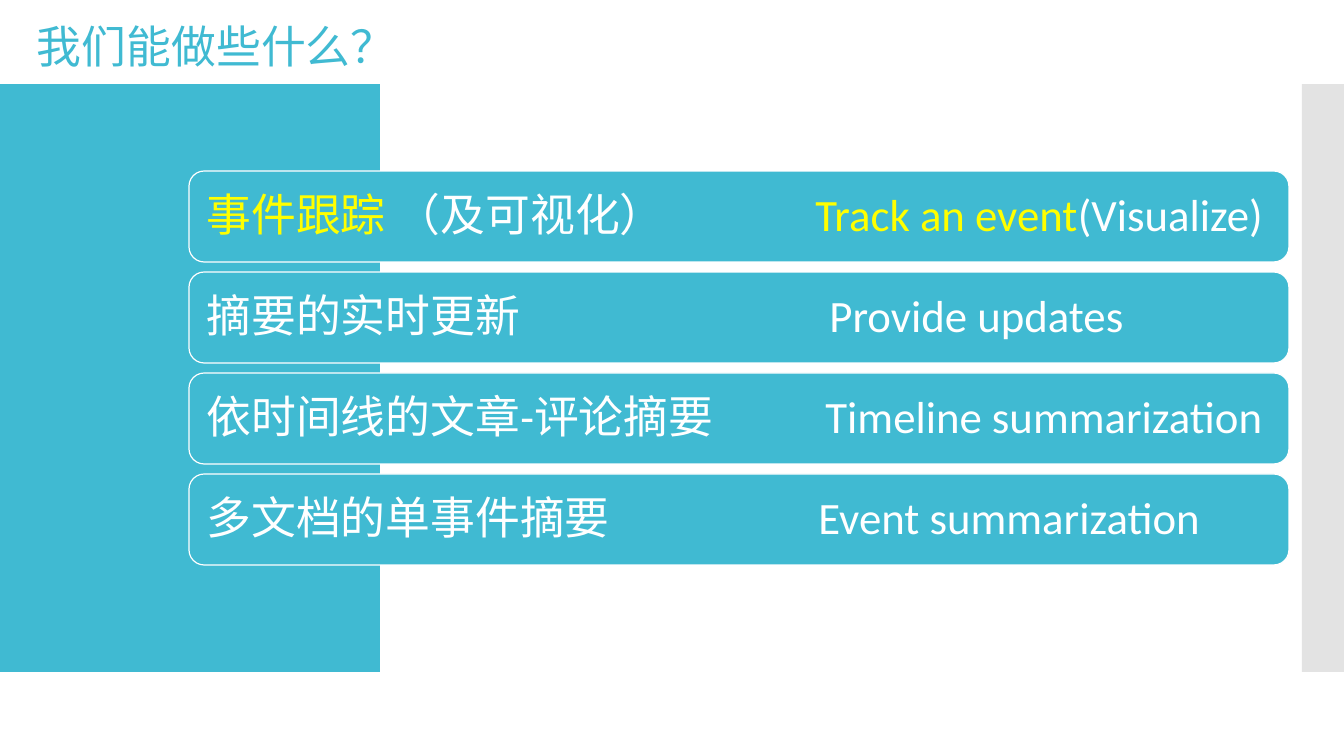
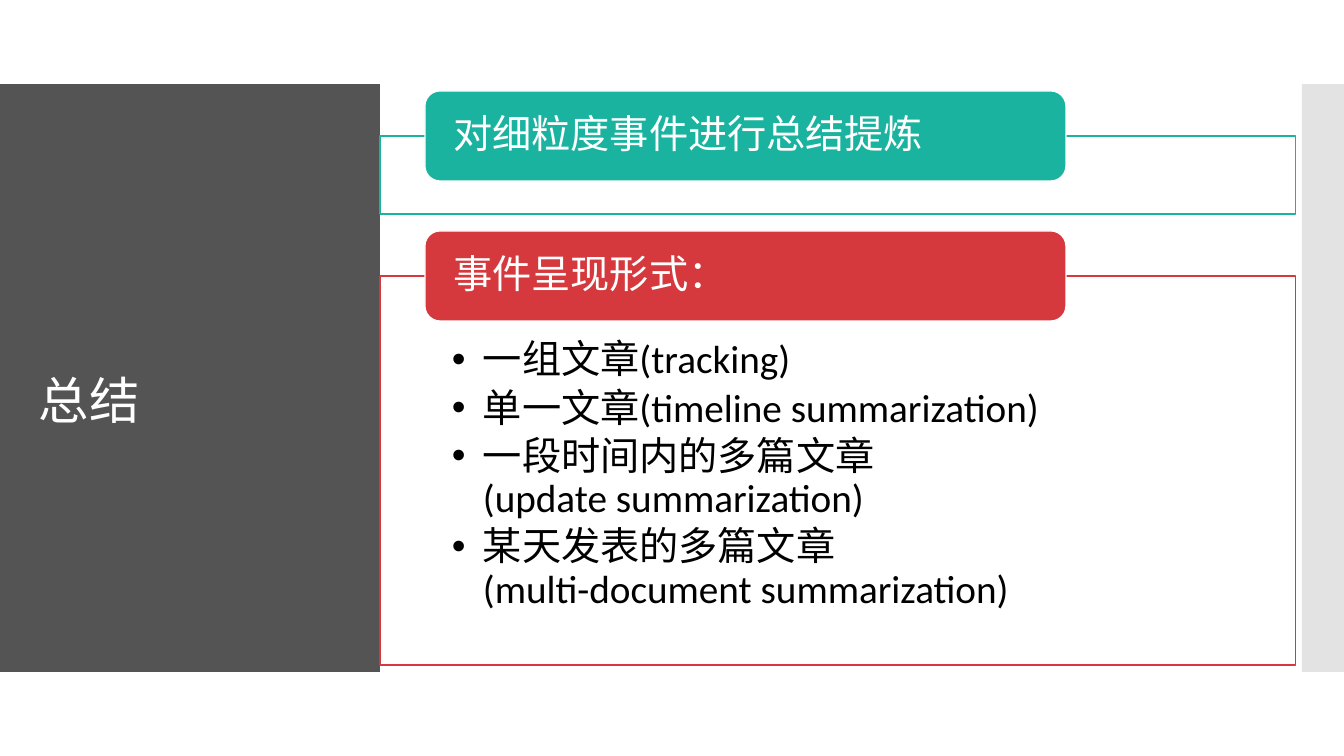
from lxml import etree
from pptx import Presentation
from pptx.dml.color import RGBColor
from pptx.enum.shapes import MSO_SHAPE
from pptx.enum.text import MSO_ANCHOR, PP_ALIGN
from pptx.oxml.ns import qn
from pptx.util import Emu, Pt

RECT, ROUNDED = MSO_SHAPE.RECTANGLE, MSO_SHAPE.ROUNDED_RECTANGLE
MIDDLE, TOP = MSO_ANCHOR.MIDDLE, MSO_ANCHOR.TOP
LEFT = PP_ALIGN.LEFT

SKY = RGBColor(0x40, 0xBA, 0xD2)
TEAL = RGBColor(0x1A, 0xB3, 0x9F)
RED = RGBColor(0xD5, 0x39, 0x3D)
DARK = RGBColor(0x54, 0x54, 0x54)
PALE = RGBColor(0xE3, 0xE3, 0xE3)
YELLOW = RGBColor(0xFF, 0xFF, 0x00)
WHITE = RGBColor(0xFF, 0xFF, 0xFF)
BLACK = RGBColor(0x00, 0x00, 0x00)

FONT = "Calibri"
PAGE_WIDTH, PAGE_HEIGHT = 1344, 756
BAND_TOP, BAND_HEIGHT = 84, 588
SIDE_WIDTH, EDGE_WIDTH = 380, 42

TASK_TITLE = "我们能做些什么？"
# Chinese spans, English spans, tab stop of the English part
TASKS = [
    ([("事件跟踪 ", YELLOW), ("（及可视化）", WHITE)],
     [("Track an event", YELLOW), ("(Visualize)", WHITE)], 609),
    ([("摘要的实时更新", WHITE)], [("Provide updates", WHITE)], 623),
    ([("依时间线的文章-评论摘要", WHITE)],
     [("Timeline summarization", WHITE)], 619),
    ([("多文档的单事件摘要", WHITE)], [("Event summarization", WHITE)], 612),
]

SUMMARY_TITLE = "总结"
# heading, colour, panel top, panel height, bullets given as lines
SUMMARY = [
    ("对细粒度事件进行总结提炼", TEAL, 136, 78, []),
    ("事件呈现形式：", RED, 276, 389, [
        ["一组文章(tracking)"],
        ["单一文章(timeline summarization)"],
        ["一段时间内的多篇文章", "(update summarization)"],
        ["某天发表的多篇文章", "(multi-document summarization)"],
    ]),
]


def px(length):
    return Emu(round(length * 914400 / 100.8))


def set_frame(box, insets, anchor=MIDDLE):
    """Set insets (left, top, right, bottom) and anchor, return the frame."""
    frame = box.text_frame
    frame.word_wrap = True
    frame.vertical_anchor = anchor
    (frame.margin_left, frame.margin_top,
     frame.margin_right, frame.margin_bottom) = map(px, insets)
    return frame


def add_block(page, kind, left, top, width, height, fill, line=None):
    block = page.shapes.add_shape(kind, px(left), px(top), px(width), px(height))
    block.shadow.inherit = False
    block.fill.solid()
    block.fill.fore_color.rgb = fill
    if line is None:
        block.line.fill.background()
    else:
        block.line.color.rgb = line
        block.line.width = Pt(0.85)
    return block


def add_span(para, text, size, color):
    span = para.add_run()
    span.text = text
    span.font.name = FONT
    span.font.size = Pt(size)
    span.font.color.rgb = color


def start_para(para, line_spacing=0.9):
    para.alignment = LEFT
    para.line_spacing = line_spacing


def add_tab_stop(para, position):
    stops = etree.SubElement(para._p.get_or_add_pPr(), qn("a:tabLst"))
    etree.SubElement(stops, qn("a:tab"), pos=str(px(position)), algn="l")


def add_bullet(para, indent):
    properties = para._p.get_or_add_pPr()
    properties.set("marL", str(px(indent)))
    properties.set("indent", str(-px(indent)))
    etree.SubElement(properties, qn("a:buFont"), typeface="Arial")
    etree.SubElement(properties, qn("a:buChar"), char="•")


def add_title(page, text, area, size, color, line_spacing):
    box = page.shapes.add_textbox(*map(px, area))
    para = set_frame(box, (0, 0, 0, 0)).paragraphs[0]
    start_para(para, line_spacing)
    add_span(para, text, size, color)


def add_page(deck, side_color):
    """Add a blank page with its side band and pale edge."""
    page = deck.slides.add_slide(deck.slide_layouts[6])
    add_block(page, RECT, 0, BAND_TOP, SIDE_WIDTH, BAND_HEIGHT, side_color)
    add_block(page, RECT, PAGE_WIDTH - EDGE_WIDTH, BAND_TOP,
              EDGE_WIDTH, BAND_HEIGHT, PALE)
    return page


def build_tasks(deck):
    page = add_page(deck, SKY)
    add_title(page, TASK_TITLE, (37, 18, 375, 55), 32, SKY, 1.0)
    first_top, pitch = 171, 101
    for index, (chinese, english, stop) in enumerate(TASKS):
        bar = add_block(page, ROUNDED, 189, first_top + index * pitch,
                        1100, 91, SKY, WHITE)
        para = set_frame(bar, (13, 13, 13, 13)).paragraphs[0]
        add_tab_stop(para, stop)
        start_para(para)
        for text, color in chinese + [("\t", WHITE)] + english:
            add_span(para, text, 32, color)


def fill_bullets(panel, bullets):
    frame = set_frame(panel, (72, 64, 72, 22), TOP)
    for index, lines in enumerate(bullets):
        para = frame.add_paragraph() if index else frame.paragraphs[0]
        add_bullet(para, 31)
        start_para(para)
        para.space_after = Pt(4.2)
        for number, line in enumerate(lines):
            if number:
                para.add_line_break()
            add_span(para, line, 28, BLACK)


def build_summary(deck):
    page = add_page(deck, DARK)
    add_title(page, SUMMARY_TITLE, (39, 150, 290, 507), 36, WHITE, 0.9)
    heading_height = 90
    for heading, color, top, height, bullets in SUMMARY:
        panel = add_block(page, RECT, SIDE_WIDTH, top, 916, height, WHITE, color)
        if bullets:
            fill_bullets(panel, bullets)
        tab = add_block(page, ROUNDED, 425, top - heading_height // 2,
                        641, heading_height, color, WHITE)
        para = set_frame(tab, (24, 0, 24, 0)).paragraphs[0]
        start_para(para)
        add_span(para, heading, 28, WHITE)


def main():
    deck = Presentation()
    deck.slide_width, deck.slide_height = px(PAGE_WIDTH), px(PAGE_HEIGHT)
    build_tasks(deck)
    build_summary(deck)
    deck.save("out.pptx")


if __name__ == "__main__":
    main()
